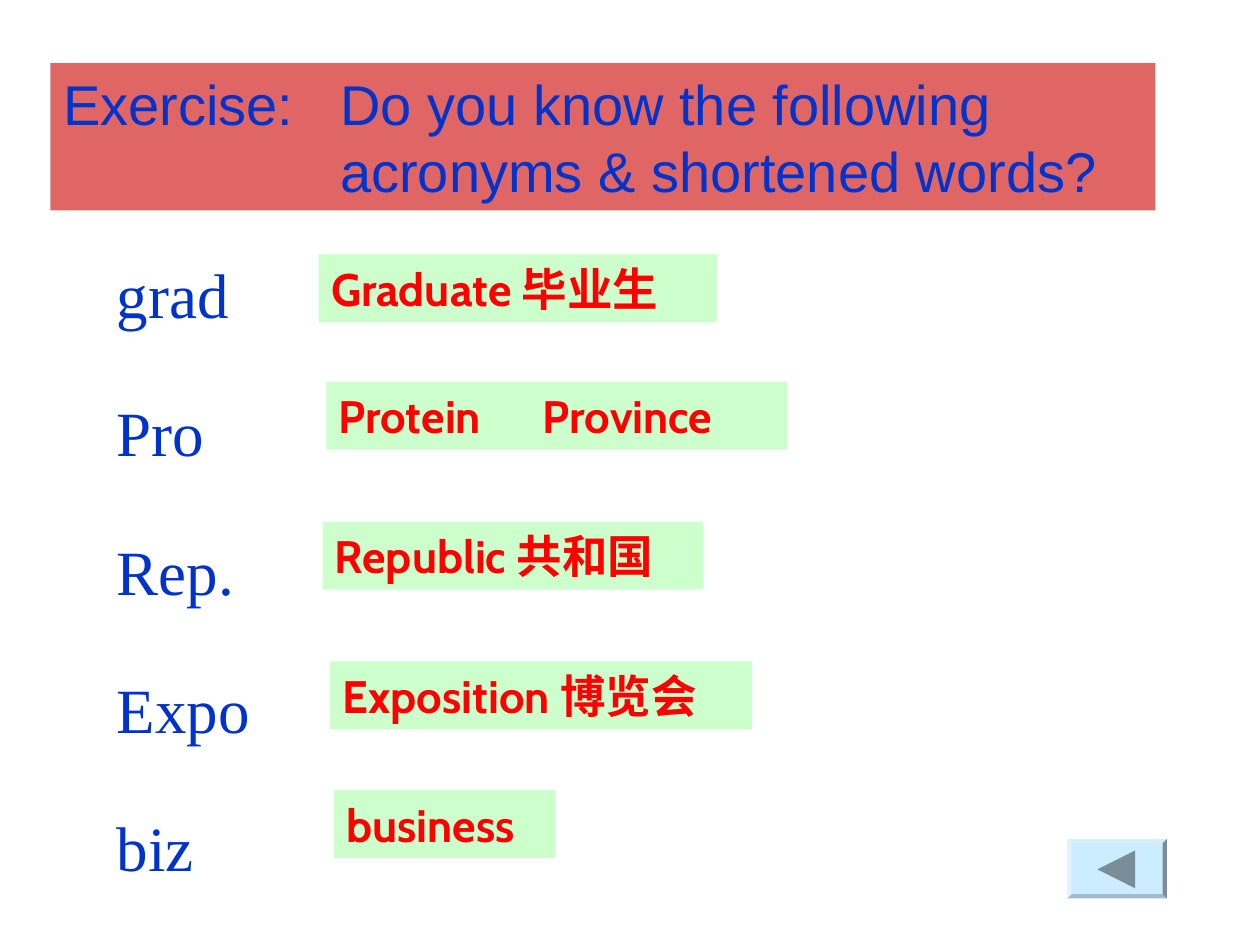
from lxml import etree
from pptx import Presentation
from pptx.dml.color import RGBColor
from pptx.enum.shapes import MSO_SHAPE
from pptx.enum.text import MSO_ANCHOR, PP_ALIGN
from pptx.oxml.ns import qn
from pptx.util import Inches, Pt

RECT, BEVEL, TRIANGLE = MSO_SHAPE.RECTANGLE, MSO_SHAPE.BEVEL, MSO_SHAPE.ISOSCELES_TRIANGLE
LEFT, TOP, MIDDLE = PP_ALIGN.LEFT, MSO_ANCHOR.TOP, MSO_ANCHOR.MIDDLE
BLUE = RGBColor(0x00, 0x33, 0xCC)
RED = RGBColor(0xFF, 0x00, 0x00)
DARK_RED = RGBColor(0xCC, 0x00, 0x00)
GREEN = RGBColor(0x00, 0xFF, 0x00)
PALE_BLUE = RGBColor(0xCC, 0xEC, 0xFF)
GRAY = RGBColor(0x7A, 0x8E, 0x99)

TITLE_FONT = {"name": "Arial", "size": Pt(32), "bold": False}
WORD_FONT = {"name": "Times New Roman", "size": Pt(36), "bold": False}
ANSWER_FONT = {"name": "Cabin", "size": Pt(26), "bold": True}


def paint(shape, color, opacity=100):
    shape.fill.solid()
    shape.fill.fore_color.rgb = color
    shape.line.fill.background()
    clr = shape.fill._xPr.find(qn("a:solidFill"))[0]
    if opacity < 100:
        etree.SubElement(clr, qn("a:alpha"), val=str(opacity * 1000))


def write(p, text, font, color, tab=None):
    p.text = text
    p.alignment = LEFT
    if tab:
        tabs = etree.SubElement(p._p.get_or_add_pPr(), qn("a:tabLst"))
        etree.SubElement(tabs, qn("a:tab"), pos=str(tab), algn="l")
    for key, value in font.items():
        setattr(p.font, key, value)
    p.font.color.rgb = color


prs = Presentation()
prs.slide_width, prs.slide_height = Inches(10), Inches(7.5)
slide = prs.slides.add_slide(prs.slide_layouts[5])

title = slide.shapes.title
title.left, title.top = Inches(0.4), Inches(0.5)
title.width, title.height = Inches(8.77), Inches(1.17)
paint(title, DARK_RED, 60)
title.text_frame.word_wrap = True
title.text_frame.vertical_anchor = TOP
p = title.text_frame.paragraphs[0]
indent = Inches(2.2)
write(p, "Exercise:\tDo you know the following acronyms & shortened words?",
      TITLE_FONT, BLUE, indent)
pPr = p._p.get_or_add_pPr()
pPr.set("marL", str(indent))
pPr.set("indent", str(-indent))

words = slide.shapes.add_textbox(Inches(0.83), Inches(1.83), Inches(8.17), Inches(5.1))
tf = words.text_frame
tf.word_wrap = True
for i, word in enumerate(["grad", "Pro", "Rep.", "Expo", "biz"]):
    p = tf.add_paragraph() if i else tf.paragraphs[0]
    write(p, word, WORD_FONT, BLUE)
    p.line_spacing = 1.25
    p.space_before = Pt(25 if i else 0)

answers = [
    ("Graduate 毕业生", 2.53, 2.02, 3.16),
    ("Protein\tProvince", 2.59, 3.03, 3.66),
    ("Republic 共和国", 2.56, 4.14, 3.02),
    ("Exposition 博览会", 2.62, 5.25, 3.35),
    ("business", 2.65, 6.27, 1.76),
]
for text, left, top, width in answers:
    s = slide.shapes.add_shape(RECT, Inches(left), Inches(top), Inches(width), Inches(0.54))
    s.shadow.inherit = False
    paint(s, GREEN, 20)
    s.text_frame.word_wrap = True
    s.text_frame.vertical_anchor = MIDDLE
    write(s.text_frame.paragraphs[0], text, ANSWER_FONT, RED,
          Inches(1.62) if "\t" in text else None)

button = slide.shapes.add_shape(BEVEL, Inches(8.47), Inches(6.66), Inches(0.79), Inches(0.47))
button.adjustments[0] = 0.07
arrow = slide.shapes.add_shape(TRIANGLE, Inches(8.71), Inches(6.75), Inches(0.3), Inches(0.3))
arrow.rotation = 270
for s, color in ((button, PALE_BLUE), (arrow, GRAY)):
    s.shadow.inherit = False
    paint(s, color)

prs.save("out.pptx")
